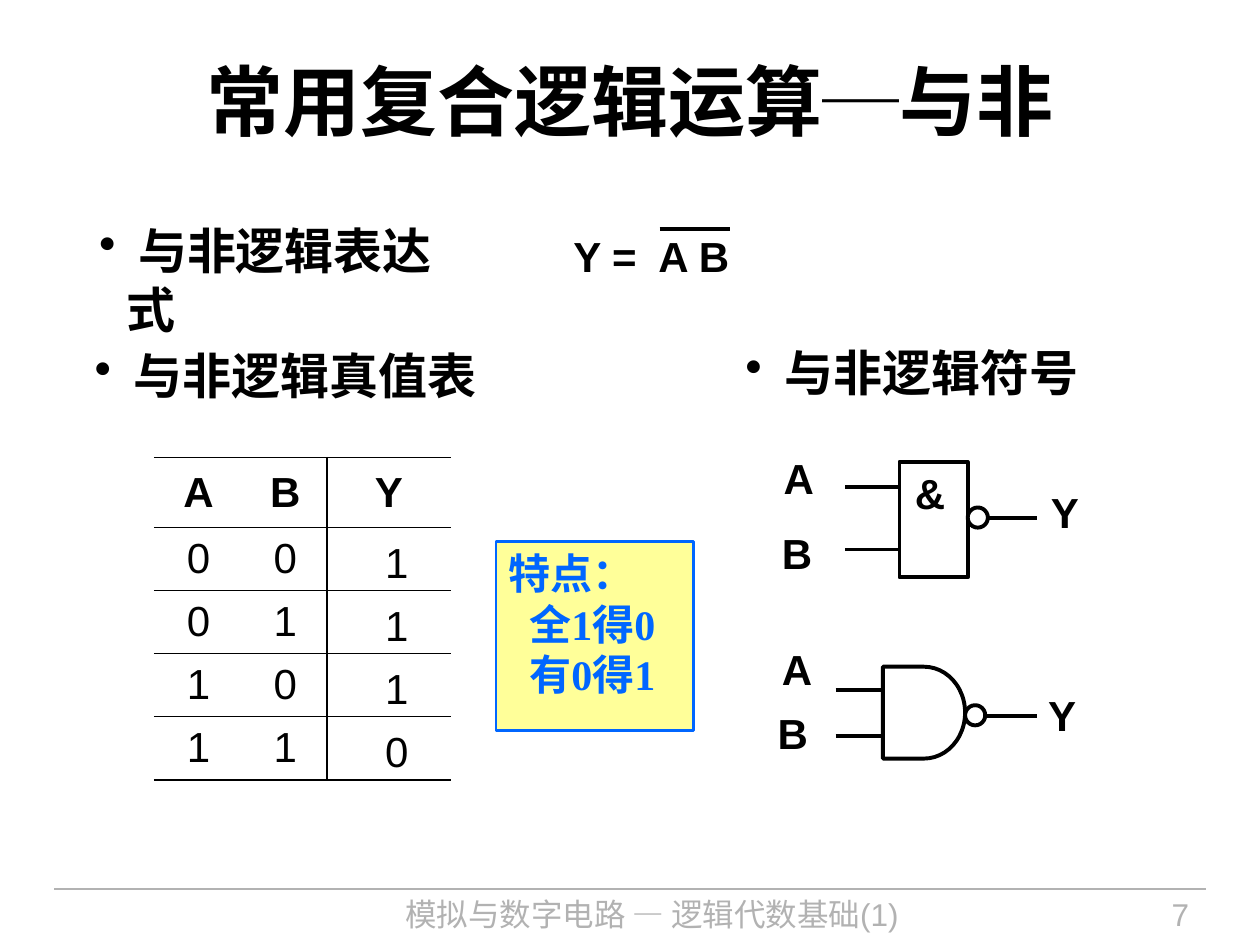
"""Build the slide that explains the NAND logic operation."""
from lxml import etree
from pptx import Presentation
from pptx.dml.color import RGBColor
from pptx.enum import shapes, text
from pptx.oxml import ns
from pptx.util import Pt

BLACK = RGBColor(0, 0, 0)
GRAY = RGBColor(0xB2, 0xB2, 0xB2)
WHITE = RGBColor(255, 255, 255)
BLUE = RGBColor(0, 0x66, 0xFF)
YELLOW = RGBColor(255, 255, 0x99)
LEFT, CENTER, RIGHT = text.PP_ALIGN.LEFT, text.PP_ALIGN.CENTER, text.PP_ALIGN.RIGHT
STROKE = 2.25
THIN, THICK = 0.45, 1.08


def style(paragraph, size, color=BLACK, bold=True, align=LEFT, font="Arial"):
    paragraph.alignment = align
    paragraph.font.name = font
    paragraph.font.size = Pt(size)
    paragraph.font.bold = bold
    paragraph.font.color.rgb = color


def set_margins(frame, horizontal, vertical):
    frame.margin_left = frame.margin_right = Pt(horizontal)
    frame.margin_top = frame.margin_bottom = Pt(vertical)


def add_text(slide, words, left, top, width, height, size, margins=(7.2, 3.6),
             wrap=True, grow=True, spacing=None, before=None, **look):
    box = slide.shapes.add_textbox(Pt(left), Pt(top), Pt(width), Pt(height))
    frame = box.text_frame
    frame.word_wrap = wrap
    set_margins(frame, *margins)
    if grow:
        frame.auto_size = text.MSO_AUTO_SIZE.SHAPE_TO_FIT_TEXT
    paragraph = frame.paragraphs[0]
    paragraph.text = words
    paragraph.line_spacing = spacing
    if before:
        paragraph.space_before = Pt(before)
    style(paragraph, size, **look)
    return paragraph


def add_bullet_text(slide, words, left, top, width, height, **look):
    paragraph = add_text(slide, " " + words, left, top, width, height, 28,
                         before=17.5, **look)
    properties = paragraph._p.get_or_add_pPr()
    properties.set("marL", str(Pt(16)))
    properties.set("indent", str(-Pt(16)))
    bullet = etree.Element(ns.qn("a:buChar"), char="•")
    properties.find(ns.qn("a:defRPr")).addprevious(bullet)


def add_label(slide, words, center, top):
    add_text(slide, words, center - 9, top, 18, 26, 24, margins=(0, 0),
             wrap=False, spacing=0.9, before=15, align=CENTER)


def add_line(slide, left, right, y, color=BLACK, width=STROKE):
    line = slide.shapes.add_connector(shapes.MSO_CONNECTOR.STRAIGHT,
                                      Pt(left), Pt(y), Pt(right), Pt(y))
    line.line.color.rgb = color
    line.line.width = Pt(width)
    etree.SubElement(line._element.spPr, ns.qn("a:effectLst"))


def add_outline(slide, kind, left, top, width, height, fill=None, color=BLACK,
                stroke=STROKE):
    shape = slide.shapes.add_shape(kind, Pt(left), Pt(top), Pt(width), Pt(height))
    shape.shadow.inherit = False
    if fill is None:
        shape.fill.background()
    else:
        shape.fill.solid()
        shape.fill.fore_color.rgb = fill
    shape.line.color.rgb = color
    shape.line.width = Pt(stroke)
    return shape


def add_gate(slide, kind, body, inputs, wire_left, bubble, output_y):
    left, top, width, height = body
    for y in inputs:
        add_line(slide, wire_left, left, y)
    add_outline(slide, kind, left, top, width, height)
    add_line(slide, bubble[0] + 8, 592.5, output_y)
    add_outline(slide, shapes.MSO_SHAPE.OVAL, *bubble, 11.5, 11.5, fill=WHITE)


def set_borders(cell, **widths):
    properties = cell._tc.get_or_add_tcPr()
    for side in "LRTB":
        width = widths.get(side, 0)
        border = etree.SubElement(properties, ns.qn("a:ln" + side), w=str(Pt(width)))
        if width:
            fill = etree.SubElement(border, ns.qn("a:solidFill"))
            etree.SubElement(fill, ns.qn("a:srgbClr"), val=str(BLACK))
        else:
            etree.SubElement(border, ns.qn("a:noFill"))


def truth_borders(row, column, last_row):
    borders = {"T": THICK if row < 2 else THIN,
               "B": THICK if row in (0, last_row) else THIN}
    if column == 1:
        borders["R"] = THICK
    if column == 2:
        borders["L"] = THICK
    return borders


def add_table(slide, rows, left, top, widths, heights, ruled):
    frame = slide.shapes.add_table(len(rows), len(widths), Pt(left), Pt(top),
                                   Pt(sum(widths)), Pt(sum(heights)))
    table = frame.table
    table.first_row = table.horz_banding = False
    for column, width in zip(table.columns, widths):
        column.width = Pt(width)
    for y, (values, height) in enumerate(zip(rows, heights)):
        table.rows[y].height = Pt(height)
        for x, value in enumerate(values):
            cell = table.cell(y, x)
            set_margins(cell, 7.2, 3.6)
            cell.vertical_anchor = text.MSO_ANCHOR.MIDDLE
            borders = truth_borders(y, x, len(rows) - 1) if ruled else {}
            set_borders(cell, **borders)
            cell.fill.background()
            if value:
                paragraph = cell.text_frame.paragraphs[0]
                paragraph.text = value
                paragraph.space_after = Pt(6)
                style(paragraph, 24, bold=value.isalpha(), align=CENTER)


def add_title(slide):
    title = slide.shapes.title
    title.left, title.top, title.width, title.height = Pt(36), Pt(12), Pt(648), Pt(90)
    title.text_frame.vertical_anchor = text.MSO_ANCHOR.MIDDLE
    paragraph = title.text_frame.paragraphs[0]
    style(paragraph, 44, align=CENTER)
    for words, font in (("常用复合逻辑运算", "Arial"), ("─", "Times New Roman"),
                        ("与非", "Arial")):
        run = paragraph.add_run()
        run.text = words
        run.font.name = font


def add_summary(slide):
    box = add_outline(slide, shapes.MSO_SHAPE.RECTANGLE, 283.5, 309.5, 113, 108,
                      YELLOW, BLUE, 1.5)
    frame = box.text_frame
    frame.word_wrap = False
    frame.vertical_anchor = text.MSO_ANCHOR.TOP
    set_margins(frame, 7.2, 3.6)
    frame.text = "特点：\n全1得0\n有0得1"
    for index, paragraph in enumerate(frame.paragraphs):
        style(paragraph, 24, BLUE, font="Times New Roman")
        if index:
            paragraph._p.get_or_add_pPr().set("marL", str(Pt(12)))


def add_footer(slide):
    add_line(slide, 31, 689, 508, GRAY, 0.75)
    for words, left, width, align in (
            ("模拟与数字电路 — 逻辑代数基础(1)", 179.5, 386, CENTER),
            ("7", 590.5, 96, RIGHT)):
        add_text(slide, words, left, 508, width, 32, 18, grow=False,
                 color=GRAY, bold=False, align=align)


def main():
    presentation = Presentation()
    presentation.slide_width, presentation.slide_height = Pt(720), Pt(540)
    slide = presentation.slides.add_slide(presentation.slide_layouts[5])
    add_footer(slide)
    add_title(slide)

    add_bullet_text(slide, "与非逻辑真值表", 54, 201, 248, 30,
                    margins=(0, 0), spacing=0.9)
    add_bullet_text(slide, "与非逻辑表达式", 49.5, 122.5, 226, 41)
    add_bullet_text(slide, "与非逻辑符号", 417, 199.5, 208, 30,
                    margins=(0, 0), spacing=0.9, align=CENTER)
    add_text(slide, "Y =  A B", 320.5, 128, 187, 36, 24, before=15)
    add_line(slide, 377, 417, 131)

    add_gate(slide, shapes.MSO_SHAPE.RECTANGLE, (514, 264, 39, 66),
             (278.5, 314), 483, (553, 290), 296)
    add_gate(slide, shapes.MSO_SHAPE.FLOWCHART_DELAY, (504.5, 381, 47, 52.5),
             (394.5, 420.5), 477.5, (551.5, 403), 409)
    for words, center, top in (("A", 456.5, 262), ("B", 455.5, 304.5),
                               ("&", 531.5, 270.5), ("Y", 608.5, 281),
                               ("A", 455.5, 371), ("B", 453, 407.5),
                               ("Y", 607, 397.5)):
        add_label(slide, words, center, top)

    inputs = [(a, b, "") for a in "01" for b in "01"]
    add_table(slide, [("A", "B", "Y")] + inputs, 88, 261.5,
              (51, 48, 70.5), (40,) + (36,) * 4, True)
    add_summary(slide)
    add_table(slide, ["1", "1", "1", "0"], 193, 304, (67.5,), (36,) * 4, False)
    presentation.save("out.pptx")


main()
